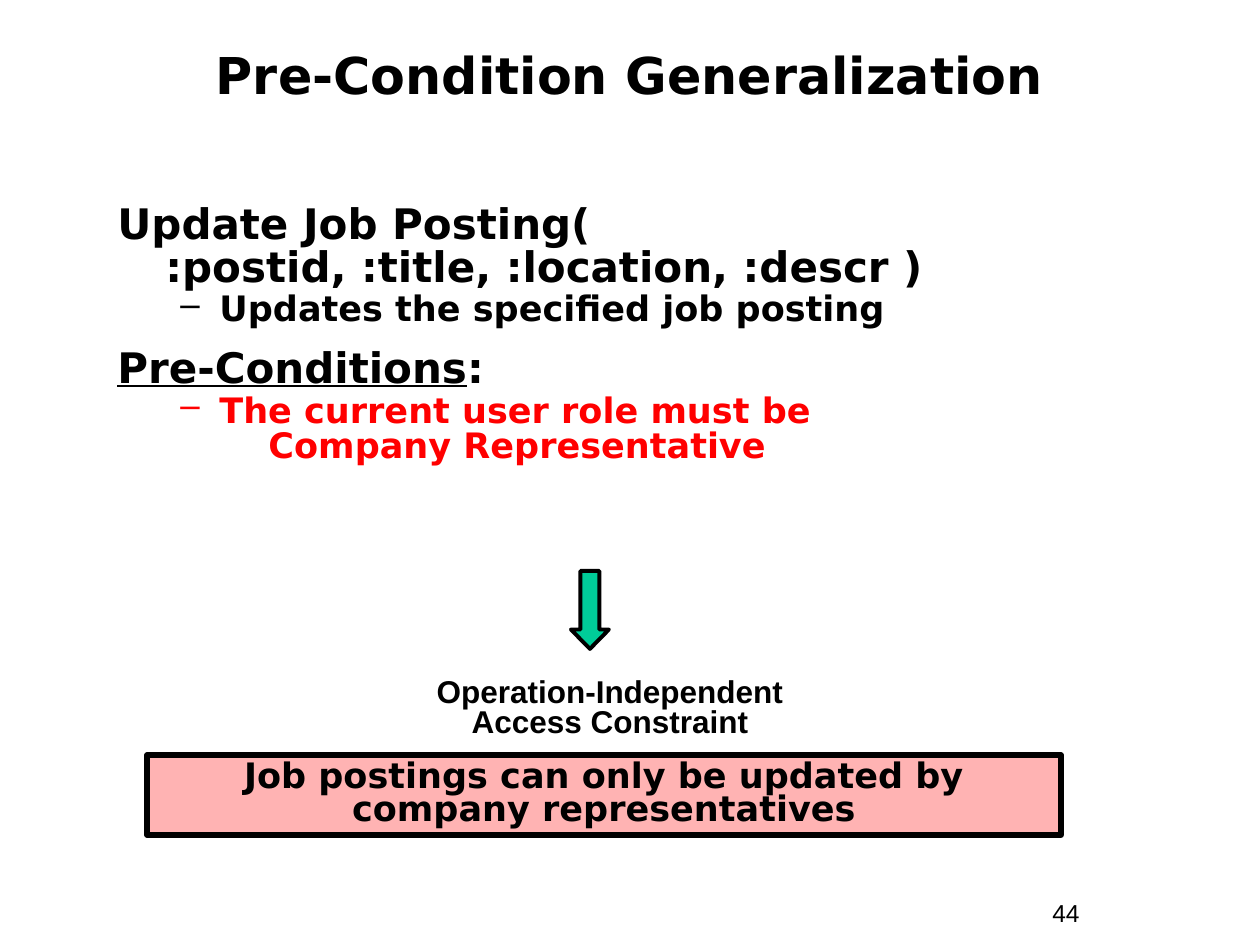
from lxml import etree
from pptx import Presentation
from pptx import util as u
from pptx.dml.color import RGBColor
from pptx.enum import shapes, text
from pptx.oxml.ns import qn

PX = 914400 // 126
COLORS = {"ink": "000000", "alert": "FF0000", "arrow": "00CC99", "panel": "FFB3B3"}
SANS, ARIAL = "DejaVu Sans", "Arial"
CENTER, LEFT = text.PP_ALIGN.CENTER, text.PP_ALIGN.LEFT


def px(*lengths):
    return [u.Emu(length * PX) for length in lengths]


def write(para, spans, font, size, color="ink", bold=True, **layout):
    for words, underline in spans:
        for index, line in enumerate(words.split("\n")):
            if index:
                para.add_line_break()
            span = para.add_run()
            span.text = line
            if underline:
                span.font.underline = True
    for name, value in layout.items():
        setattr(para, name, value)
    for name, value in {"name": font, "size": u.Pt(size), "bold": bold}.items():
        setattr(para.font, name, value)
        for span in para.runs:
            setattr(span.font, name, value)
    for span in para.runs:
        span.font.color.rgb = RGBColor.from_string(COLORS[color])


deck = Presentation()
deck.slide_width, deck.slide_height = px(1260, 945)
page = deck.slides.add_slide(deck.slide_layouts[5])

title = page.shapes.title
title.left, title.top, title.width, title.height = px(42, 21, 1176, 116)
title.text_frame.auto_size = text.MSO_AUTO_SIZE.NONE
title.text_frame.vertical_anchor = text.MSO_ANCHOR.MIDDLE
write(title.text_frame.paragraphs[0], [("Pre-Condition Generalization", False)],
      SANS, 29, alignment=CENTER, line_spacing=0.85)

HEADING = {"size": 24, "margin": 48, "indent": -48, "before": 12}
DETAIL = {"size": 20, "margin": 102, "indent": -39, "before": 1.2, "bullet": "–"}
CONTINUED = {"size": 20, "margin": 151, "indent": 0, "before": 0}
body_lines = [
    ([("Update Job Posting(\n:postid, :title, :location, :descr )", False)], "ink", HEADING),
    ([("Updates the specified job posting", False)], "ink", DETAIL),
    ([("Pre-Conditions", True), (":", False)], "ink", HEADING),
    ([("The current user role must be", False)], "alert", DETAIL),
    ([("Company Representative", False)], "alert", CONTINUED),
]
body = page.shapes.add_textbox(*px(105, 199, 1092, 378))
body.text_frame.word_wrap = True
for index, (spans, color, style) in enumerate(body_lines):
    para = body.text_frame.add_paragraph() if index else body.text_frame.paragraphs[0]
    properties = para._p.get_or_add_pPr()
    properties.set("marL", str(style["margin"] * PX))
    properties.set("indent", str(style["indent"] * PX))
    if "bullet" in style:
        tint = etree.SubElement(properties, qn("a:buClr"))
        etree.SubElement(tint, qn("a:srgbClr"), val=COLORS[color])
        etree.SubElement(properties, qn("a:buChar"), char=style["bullet"])
    write(para, spans, SANS, style["size"], color, line_spacing=0.85,
          level=0 if style is HEADING else 1,
          space_before=u.Pt(style["before"] if index else 0))

arrow = page.shapes.add_shape(shapes.MSO_SHAPE.DOWN_ARROW, *px(571, 571, 38, 78))
arrow.adjustments[0], arrow.adjustments[1] = 0.5, 0.51
panel = page.shapes.add_shape(shapes.MSO_SHAPE.RECTANGLE, *px(147, 755, 914, 80))
for shape, fill, weight in [(arrow, "arrow", 2.25), (panel, "panel", 3)]:
    shape.shadow.inherit = False
    shape.fill.solid()
    shape.fill.fore_color.rgb = RGBColor.from_string(COLORS[fill])
    shape.line.color.rgb = RGBColor.from_string(COLORS["ink"])
    shape.line.width = u.Pt(weight)

caption = page.shapes.add_textbox(*px(253, 673, 714, 73))
number = page.shapes.add_textbox(*px(1040, 892, 116, 43))
labels = [
    (panel, "Job postings can only be updated by company representatives", SANS, 20, True, CENTER, 0.8),
    (caption, "Operation-Independent\nAccess Constraint", ARIAL, 18, True, CENTER, 0.8),
    (number, "44", ARIAL, 14, False, LEFT, 1.0),
]
for box, words, font, size, bold, alignment, spacing in labels:
    box.text_frame.word_wrap = True
    box.text_frame.vertical_anchor = text.MSO_ANCHOR.TOP
    write(box.text_frame.paragraphs[0], [(words, False)], font, size, bold=bold,
          alignment=alignment, line_spacing=spacing)

deck.save("out.pptx")
